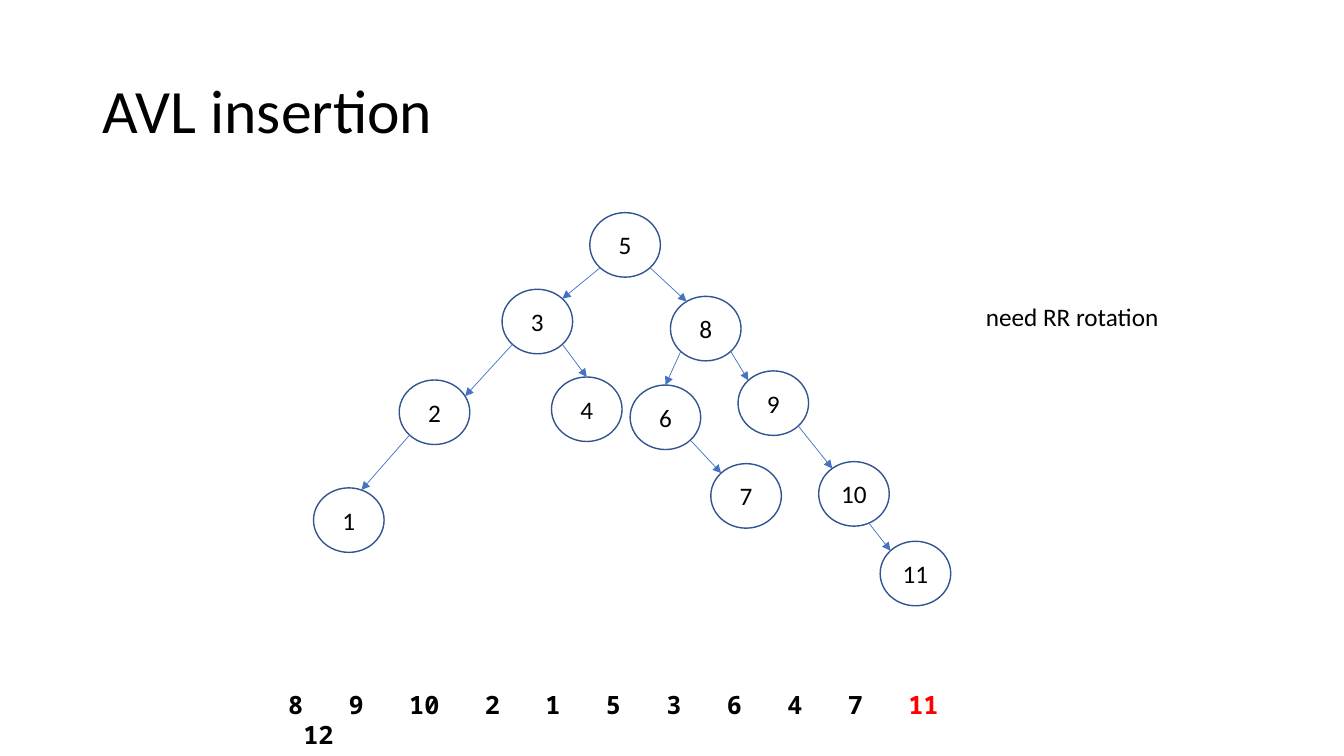
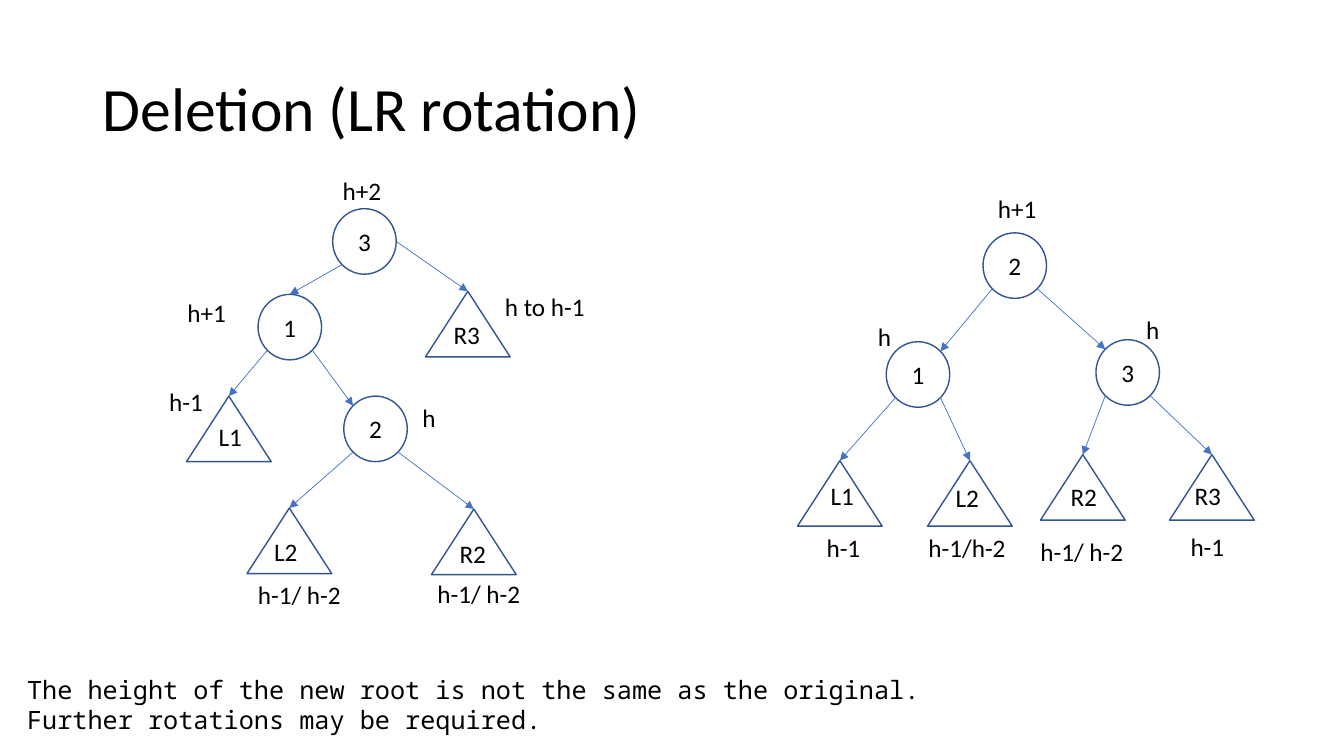
from math import cos, radians, sin

from lxml import etree
from pptx import Presentation
from pptx.dml.color import RGBColor
from pptx.enum.shapes import MSO_CONNECTOR, MSO_SHAPE
from pptx.enum.text import MSO_ANCHOR, MSO_AUTO_SIZE, PP_ALIGN
from pptx.oxml.ns import qn
from pptx.util import Inches, Pt

OVAL, CONE = MSO_SHAPE.OVAL, MSO_SHAPE.ISOSCELES_TRIANGLE
LINE = MSO_CONNECTOR.STRAIGHT
LEFT, MID = PP_ALIGN.LEFT, PP_ALIGN.CENTER
CENTER = MSO_ANCHOR.MIDDLE

HUES = {"text": "000000", "new": "FF0000", "edge": "325491", "arrow": "4472C4"}
SANS, MONO = "Calibri", "Noto Sans Mono"
CHAR = 0.15  # width of one mono letter at 18 pt

# Angles on a node, counter-clockwise from the right
EAST, TR, TOP, TL, BL, BR = 0, 45, 90, 135, 225, 315


def hue(name):
    return RGBColor.from_string(HUES[name])


def write(frame, *paras, size=18, font=SANS, bold=False, align=LEFT, space=None):
    """Fill a frame; a paragraph is a string or a list of (text, colour)."""
    for i, para in enumerate(paras):
        p = frame.paragraphs[0] if i == 0 else frame.add_paragraph()
        p.alignment = align
        if space:
            p.line_spacing = space
        for text, color in [(para, "text")] if isinstance(para, str) else para:
            run = p.add_run()
            run.text = text
            run.font.size, run.font.name, run.font.bold = Pt(size), font, bold
            run.font.color.rgb = hue(color)


def title(deck, text, top):
    slide = deck.slides.add_slide(deck.slide_layouts[5])
    box = slide.shapes.title
    box.left, box.top = Inches(0.92), Inches(top)
    box.width, box.height = Inches(11.5), Inches(1.45)
    frame = box.text_frame
    frame.auto_size, frame.vertical_anchor = MSO_AUTO_SIZE.NONE, CENTER
    write(frame, text, size=44, space=0.9)
    return slide


def label(slide, x, y, *paras, w=1.2, h=0.4, **form):
    box = slide.shapes.add_textbox(Inches(x), Inches(y), Inches(w), Inches(h))
    box.text_frame.word_wrap = True
    write(box.text_frame, *paras, **form)
    return box.text_frame


def node(slide, kind, x, y, w, h, text=""):
    shape = slide.shapes.add_shape(kind, Inches(x), Inches(y), Inches(w), Inches(h))
    shape.shadow.inherit = False
    shape.fill.background()
    shape.line.color.rgb, shape.line.width = hue("edge"), Pt(1)
    if text:
        shape.text_frame.vertical_anchor = CENTER
        write(shape.text_frame, text, align=MID)
    return x, y, w, h


def rim(box, angle):
    x, y, w, h = box
    turn = radians(angle)
    return Inches(x + w / 2 * (1 + cos(turn))), Inches(y + h / 2 * (1 - sin(turn)))


def arrow(slide, start, end):
    con = slide.shapes.add_connector(LINE, *start, *end)
    con.line.color.rgb, con.line.width = hue("arrow"), Pt(0.5)
    prop = con._element.spPr
    etree.SubElement(prop.find(qn("a:ln")), qn("a:tailEnd"), type="triangle")
    etree.SubElement(prop, qn("a:effectLst"))


def tree(slide, size, balls, cones, edges):
    """Draw named circles and subtree triangles, then the edges between them."""
    boxes = {key: node(slide, OVAL, *at, *size, key) for key, at in balls.items()}
    for key, (x, y, dx, dy) in cones.items():
        boxes[key] = node(slide, CONE, x, y, 0.84, 0.65)
        label(slide, x + dx, y + dy, key, w=0.6)
    for top, low, out, into in edges:
        arrow(slide, rim(boxes[top], out), rim(boxes[low], into))


def keys(slide, done, new, rest):
    """List the inserted keys, three letters apart, with the newest in red."""
    row = [(key + "\t", "text") for key in done] + [(new, "new")]
    frame = label(slide, 2.76, 6.79, row, [(rest, "text")],
                  w=6.81, font=MONO, bold=True)
    first, last = frame.paragraphs
    tabs = etree.SubElement(first._p.get_or_add_pPr(), qn("a:tabLst"))
    stop = 0
    for key in done:
        stop += (len(key) + 3) * CHAR
        etree.SubElement(tabs, qn("a:tab"), pos=str(Inches(stop)), algn="l")
    last._p.get_or_add_pPr().set("marL", str(Inches(CHAR)))


def insertion(deck):
    slide = title(deck, "AVL insertion", 0.4)
    balls = {
        "5": (5.85, 2.11), "3": (4.98, 2.87), "8": (6.65, 2.94),
        "2": (3.96, 3.77), "9": (7.32, 3.68), "6": (6.25, 3.82),
        "4": (5.47, 3.74), "1": (3.11, 4.84), "7": (7.05, 4.6),
        "10": (8.12, 4.58), "11": (8.73, 5.37),
    }
    edges = [
        ("5", "3", BL, TR), ("5", "8", BR, 123), ("3", "2", BL, 30),
        ("3", "4", BR, TOP), ("8", "6", BL, TOP), ("8", "9", BR, TL),
        ("2", "1", BL, 69), ("6", "7", BR, TL), ("9", "10", BR, 128),
        ("10", "11", 295, TL),
    ]
    tree(slide, (0.7, 0.64), balls, {}, edges)
    label(slide, 9.68, 2.94, "need RR rotation", w=2.28)
    keys(slide, "8 9 10 2 1 5 3 6 4 7".split(), "11", "12")


def deletion(deck):
    slide = title(deck, "Deletion (LR rotation)", 0.38)
    size = (0.63, 0.65)

    # Before the rotation; a triangle has its place and its label's offset
    tree(
        slide, size,
        {"3": (3.3, 2.07), "1": (2.56, 2.92), "2": (3.41, 3.93)},
        {"R3": (4.22, 2.89, 0.18, 0.23), "R2": (4.28, 5.05, 0.18, 0.24),
         "L2": (2.45, 5.04, 0.17, 0.23), "L1": (1.85, 3.93, 0.22, 0.2)},
        [("3", "R3", EAST, TOP), ("3", "1", BL, TOP), ("1", "L1", BL, TOP),
         ("1", "2", BR, TL), ("2", "L2", BL, TOP), ("2", "R2", BR, TOP)],
    )

    # After the rotation
    tree(
        slide, size,
        {"2": (9.75, 2.31), "1": (8.79, 3.39), "3": (10.87, 3.37)},
        {"L1": (7.91, 4.57, 0.23, 0.15), "L2": (9.2, 4.57, 0.18, 0.17),
         "R2": (10.32, 4.51, 0.2, 0.22), "R3": (11.6, 4.51, 0.15, 0.21)},
        [("2", "1", BL, TR), ("2", "3", BR, TL), ("1", "L1", BL, TOP),
         ("1", "L2", BR, TOP), ("3", "R2", BL, TOP), ("3", "R3", BR, TOP)],
    )

    # Heights
    for text, x, y in [
        ("h+2", 3.3, 1.69), ("h+1", 1.76, 2.9), ("h to h-1", 4.91, 2.84),
        ("h-1", 1.58, 3.78), ("h", 4.09, 3.94), ("h-1/ h-2", 2.46, 5.7),
        ("h-1/ h-2", 4.24, 5.69), ("h+1", 9.8, 1.87), ("h", 8.61, 3.14),
        ("h", 11.27, 3.07), ("h-1", 8.1, 5.23), ("h-1/h-2", 9.11, 5.23),
        ("h-1/ h-2", 10.22, 5.27), ("h-1", 11.71, 5.22),
    ]:
        label(slide, x, y, text)

    label(slide, 0.17, 6.64,
          "The height of the new root is not the same as the original.",
          "Further rotations may be required.", w=12.58, h=0.71, font=MONO)


def main():
    deck = Presentation()
    deck.slide_width, deck.slide_height = Inches(13.33), Inches(7.5)
    insertion(deck)
    deletion(deck)
    deck.save("out.pptx")


if __name__ == "__main__":
    main()
